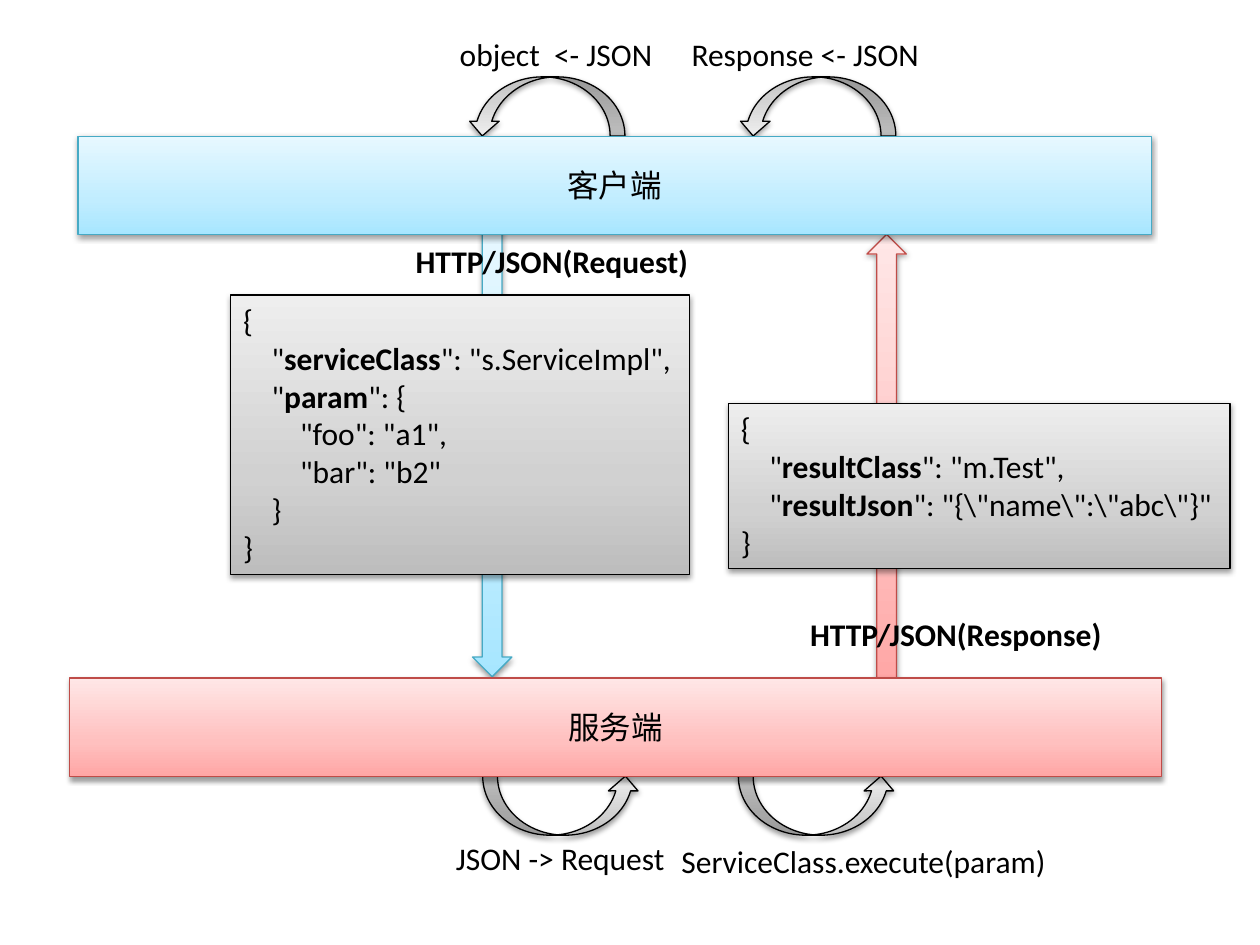
from dataclasses import dataclass

from lxml import etree
from pptx import Presentation
from pptx.dml.color import RGBColor
from pptx.enum.shapes import MSO_SHAPE
from pptx.enum.text import MSO_ANCHOR, MSO_AUTO_SIZE, PP_ALIGN
from pptx.oxml.ns import qn
from pptx.util import Pt

RECT, DOWN, UP, ARC = (MSO_SHAPE.RECTANGLE, MSO_SHAPE.DOWN_ARROW,
                       MSO_SHAPE.UP_ARROW, MSO_SHAPE.CURVED_UP_ARROW)
TOP, MID = MSO_ANCHOR.TOP, MSO_ANCHOR.MIDDLE
LEFT, MIDST = PP_ALIGN.LEFT, PP_ALIGN.CENTER
GROW, FIXED = MSO_AUTO_SIZE.SHAPE_TO_FIT_TEXT, MSO_AUTO_SIZE.NONE


@dataclass(frozen=True)
class Tint:
    line: str
    stops: tuple[str, str, str]


@dataclass(frozen=True)
class Theme:
    font: str = "Calibri"
    size: float = 18
    ink: str = "000000"
    edge: float = 0.75
    indent: float = 16.3
    blue: Tint = Tint("46AAC5", ("A7E6FF", "C1EDFF", "E7F8FF"))
    red: Tint = Tint("BF4C48", ("FFA6A5", "FFC0BF", "FFE7E7"))
    gray: Tint = Tint("000000", ("BDBDBD", "D1D1D1", "EEEEEE"))


THEME = Theme()
STOPS = (0, 35, 100)
LABEL_H = 28.8
BAR_H = 56.2
ARC_W, ARC_H = 90, 33.8
FLOW_W, FLOW_H = 22.5, 258.5


# Text: a row is (indent level, wording); asterisks enclose bold words
Row = tuple[int, str]


@dataclass(frozen=True)
class Part:
    x: float
    y: float
    w: float
    h: float
    kind: MSO_SHAPE | None = None
    tint: Tint | None = None
    rows: tuple[Row, ...] = ()
    mid: bool = False
    turn: float = 0


def label(x: float, y: float, w: float, text: str) -> Part:
    return Part(x, y, w, LABEL_H, rows=((0, text),))


def arc(x: float, y: float, turn: float = 0) -> Part:
    return Part(x, y, ARC_W, ARC_H, ARC, THEME.gray, turn=turn)


def bar(x: float, y: float, w: float, tint: Tint, text: str) -> Part:
    return Part(x, y, w, BAR_H, RECT, tint, ((0, text),), mid=True)


def flow(x: float, y: float, kind: MSO_SHAPE, tint: Tint) -> Part:
    return Part(x, y, FLOW_W, FLOW_H, kind, tint)


REQUEST = (
    (0, "{"),
    (1, '"*serviceClass*": "s.ServiceImpl",'),
    (1, '"*param*": {'),
    (2, '"foo": "a1",'),
    (2, '"bar": "b2"'),
    (1, "}"),
    (0, "}"),
)
RESULT = (
    (0, "{"),
    (1, '"*resultClass*": "m.Test",'),
    (1, r'"*resultJson*": "{\"name\":\"abc\"}"'),
    (0, "}"),
)

# Parts from back to front
PARTS = (
    flow(270, 128.2, DOWN, THEME.blue),
    label(230.4, 134.6, 171.4, "*HTTP/JSON(Request)*"),
    Part(131.8, 168.5, 262.1, 159.8, RECT, THEME.gray, REQUEST),
    arc(275.8, 443.5),
    label(253.4, 475.9, 135.4, "JSON -> Request"),
    arc(421.9, 443.5),
    label(382.3, 477.4, 224.6, "ServiceClass.execute(param)"),
    flow(495.4, 133.9, UP, THEME.red),
    bar(39.6, 387.4, 624.2, THEME.red, "服务端"),
    label(455.8, 347.8, 182.2, "*HTTP/JSON(Response)*"),
    Part(416.2, 230.4, 286.6, 94.3, RECT, THEME.gray, RESULT),
    label(388.1, 16.6, 146.2, "Response <- JSON"),
    arc(421.9, 43.9, 180),
    label(255.6, 16.6, 128.2, "object  <- JSON"),
    arc(267.1, 43.9, 180),
    bar(44.6, 77.8, 613.4, THEME.blue, "客户端"),
)


def put(target, values: dict) -> None:
    for name, value in values.items():
        setattr(target, name, value)


def node(root, tag: str, **attrs):
    return etree.SubElement(root, qn(tag), {k: str(v) for k, v in attrs.items()})


def paint(shape, tint: Tint) -> None:
    # Gradient, light at the top
    shape.fill.gradient()
    shape.fill.gradient_angle = 90
    props = shape._element.spPr
    stops = props.find(".//" + qn("a:gsLst"))
    for old in list(stops):
        stops.remove(old)
    for pos, color in zip(STOPS, tint.stops):
        stop = node(stops, "a:gs", pos=pos * 1000)
        node(stop, "a:srgbClr", val=color)

    # Outline
    shape.line.color.rgb = RGBColor.from_string(tint.line)
    shape.line.width = Pt(THEME.edge)

    # Soft shadow straight below
    shape.shadow.inherit = False
    cast = node(props.find(qn("a:effectLst")), "a:outerShdw",
                blurRad=int(Pt(3.15)), dist=int(Pt(1.57)), dir=5400000,
                rotWithShape=0)
    shade = node(cast, "a:srgbClr", val=THEME.ink)
    node(shade, "a:alpha", val=38000)


def write(shape, part: Part) -> None:
    frame = shape.text_frame
    put(frame, {
        "word_wrap": part.kind is not None,
        "auto_size": FIXED if part.mid else GROW,
        "vertical_anchor": MID if part.mid else TOP,
    })
    face = {"name": THEME.font, "size": Pt(THEME.size)}
    for i, (level, text) in enumerate(part.rows):
        para = frame.add_paragraph() if i else frame.paragraphs[0]
        para.alignment = MIDST if part.mid else LEFT
        if level:
            inset = int(Pt(level * THEME.indent))
            para._p.get_or_add_pPr().set("marL", str(inset))
        for j, piece in enumerate(text.split("*")):
            if piece:
                run = para.add_run()
                run.text = piece
                put(run.font, face | {"bold": j % 2 == 1})
                run.font.color.rgb = RGBColor.from_string(THEME.ink)


def draw(slide, part: Part) -> None:
    box = [Pt(v) for v in (part.x, part.y, part.w, part.h)]
    if part.kind is None:
        shape = slide.shapes.add_textbox(*box)
    else:
        shape = slide.shapes.add_shape(part.kind, *box)
        shape.rotation = part.turn
        paint(shape, part.tint)
    if part.rows:
        write(shape, part)


def main() -> None:
    deck = Presentation()
    put(deck, {"slide_width": Pt(720), "slide_height": Pt(540)})
    slide = deck.slides.add_slide(deck.slide_layouts[6])
    for part in PARTS:
        draw(slide, part)
    deck.save("out.pptx")


main()
